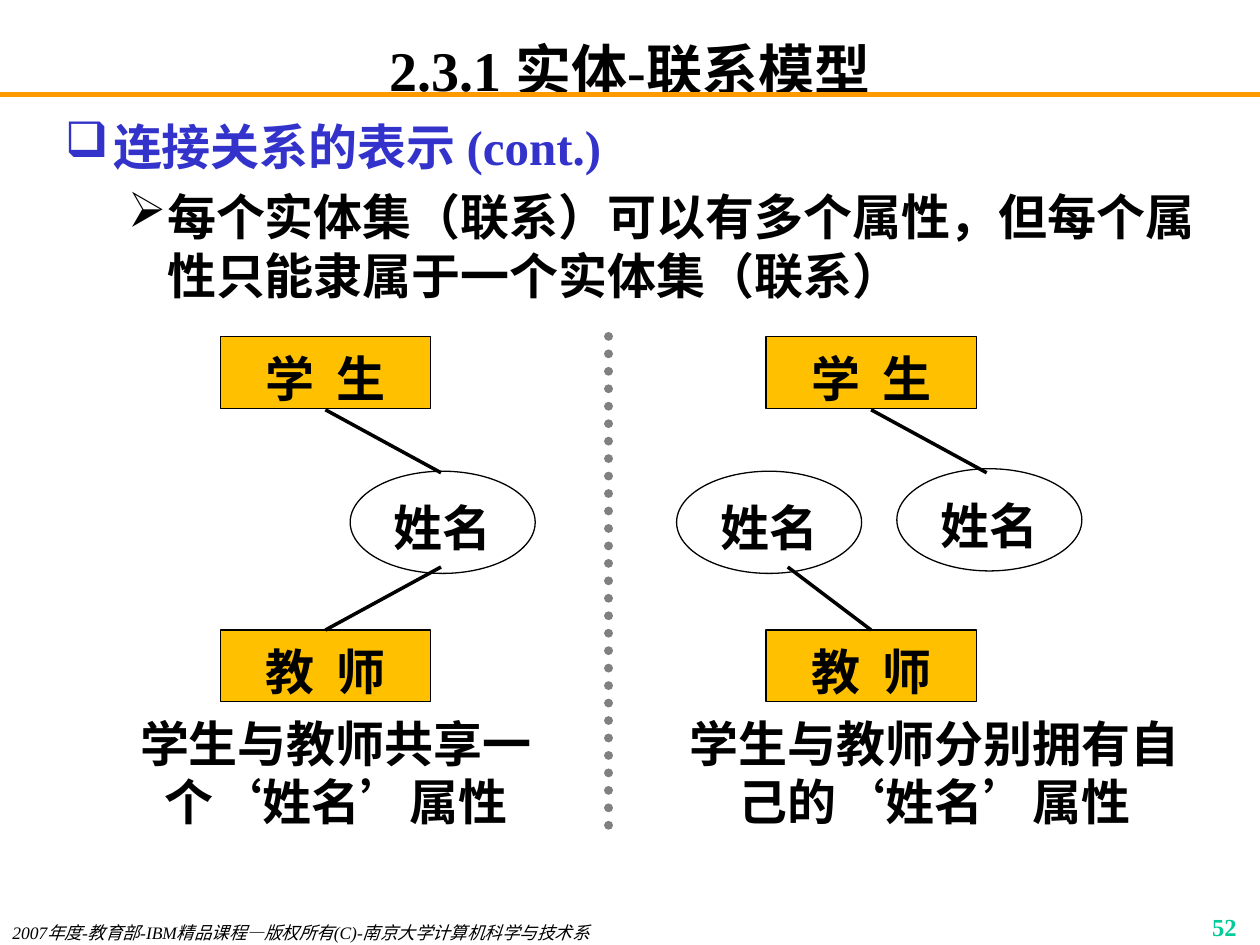
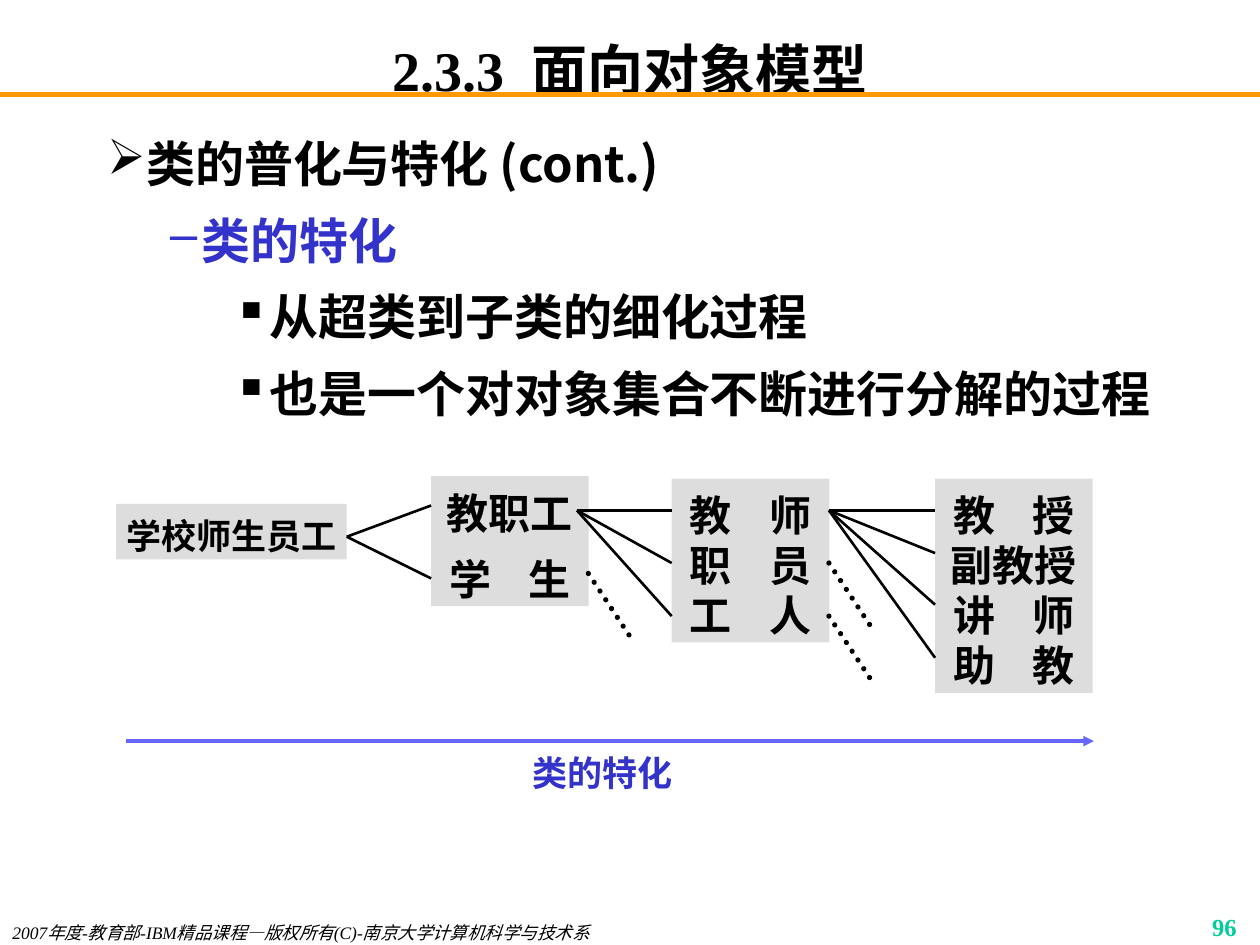
from lxml.etree import SubElement
from pptx import Presentation
from pptx.dml.color import RGBColor
from pptx.enum.dml import MSO_LINE_DASH_STYLE as DASH
from pptx.enum.shapes import MSO_CONNECTOR_TYPE as CONNECTOR, MSO_SHAPE as SHAPE
from pptx.enum.text import MSO_ANCHOR as ANCHOR, PP_ALIGN as ALIGN
from pptx.oxml.ns import qn
from pptx.util import Cm, Pt

# Shared look
BLACK, WHITE, BLUE = "000000", "FFFFFF", "3333CC"
ORANGE, GREEN, AMBER = "FF9900", "00CC99", "FFC000"
LIGHT_GREY, MID_GREY, ARROW_BLUE = "DDDDDD", "808080", "6666FF"
SERIF, SANS = "Times New Roman", "Noto Sans CJK SC"
LINE_HEIGHT = 1.19  # line pitch in ems
DROP = 0.12         # extra space above the first line, in ems
COPYRIGHT = "2007年度-教育部-IBM精品课程—版权所有(C)-南京大学计算机科学与技术系"

# Outline levels: character, left margin and hanging indent in cm
BULLETS = {0: ("❑", 0.97, 0.97), 1: ("➢", 2.06, 0.79),
           2: ("–", 3.18, 0.64), 3: ("▪", 4.45, 0.64)}


def rgb(color):
    return RGBColor.from_string(color)


def cm(*lengths):
    return [Cm(length) for length in lengths]


# Text
def add_run(paragraph, text, color, size, latin=SERIF, spread=0, **font_format):
    run = paragraph.add_run()
    run.text = text
    settings = {"size": Pt(size), "name": latin, "bold": True, **font_format}
    for name, value in settings.items():
        setattr(run.font, name, value)
    run.font.color.rgb = rgb(color)
    properties = run.font._element
    SubElement(properties, qn("a:ea"), typeface=SANS)
    if spread:
        properties.set("spc", str(round(spread * 100)))


def write_line(paragraph, text, color=BLACK, size=28, align=ALIGN.LEFT,
               pitch=LINE_HEIGHT, gap=0, **font_format):
    """Write one paragraph; gap widens its first space by that many points."""
    paragraph.alignment = align
    paragraph.line_spacing = Pt(round(size * pitch, 1))
    pieces = text.partition(" ") if gap else (text,)
    for piece in filter(None, pieces):
        add_run(paragraph, piece, color, size,
                spread=gap if piece == " " else 0, **font_format)


def prepare_frame(frame, size, side=0.25, top=0.13):
    settings = {"word_wrap": True, "vertical_anchor": ANCHOR.TOP,
                "margin_left": Cm(side), "margin_right": Cm(side),
                "margin_top": Cm(top) + Pt(size * DROP), "margin_bottom": 0}
    for name, value in settings.items():
        setattr(frame, name, value)


def write_lines(frame, lines, size=28, before=0, side=0.25, **line_format):
    prepare_frame(frame, size, side)
    for number, text in enumerate(lines):
        paragraph = frame.add_paragraph() if number else frame.paragraphs[0]
        if number:
            paragraph.space_before = Pt(before)
        write_line(paragraph, text, size=size, **line_format)


def add_text(slide, box, text, **text_format):
    frame = slide.shapes.add_textbox(*cm(*box)).text_frame
    write_lines(frame, [text], **text_format)


def add_outline(slide, box, items, **line_format):
    """Write bulleted items given as (level, text, color)."""
    frame = slide.shapes.add_textbox(*cm(*box)).text_frame
    prepare_frame(frame, 28)
    for number, (level, text, color) in enumerate(items):
        paragraph = frame.add_paragraph() if number else frame.paragraphs[0]
        paragraph.level = level
        character, margin, hanging = BULLETS[level]
        properties = paragraph._p.get_or_add_pPr()
        properties.set("marL", str(Cm(margin)))
        properties.set("indent", str(-Cm(hanging)))
        bullet_color = SubElement(properties, qn("a:buClr"))
        SubElement(bullet_color, qn("a:srgbClr"), val=color)
        SubElement(properties, qn("a:buChar"), char=character)
        if number:
            paragraph.space_before = Pt(7)
        write_line(paragraph, text, color, **line_format)


# Shapes and lines
def add_node(slide, kind, box, lines, fill, outline=None, **text_format):
    node = slide.shapes.add_shape(kind, *cm(*box))
    node.shadow.inherit = False
    node.fill.solid()
    node.fill.fore_color.rgb = rgb(fill)
    if outline:
        node.line.color.rgb = rgb(outline)
        node.line.width = Pt(0.75)
    else:
        node.line.fill.background()
    write_lines(node.text_frame, lines, side=0, align=ALIGN.CENTER, **text_format)


def add_line(slide, start, end, color=BLACK, width=1.5, dotted=False, arrow=False):
    link = slide.shapes.add_connector(CONNECTOR.STRAIGHT, *cm(*start, *end))
    link.line.color.rgb = rgb(color)
    link.line.width = Pt(width)
    stroke = link.line._get_or_add_ln()
    if dotted:
        link.line.dash_style = DASH.ROUND_DOT
        stroke.set("cap", "rnd")
    if arrow:
        SubElement(stroke, qn("a:tailEnd"), type="triangle")
    SubElement(link._element.spPr, qn("a:effectLst"))


def add_fan(slide, start, right, heights):
    for height in heights:
        add_line(slide, start, (right, height))


# Frame common to all slides
def add_framed_slide(deck, title, page, gap=0):
    slide = deck.slides.add_slide(deck.slide_layouts[5])
    add_line(slide, (0, 1.9), (25.4, 1.9), ORANGE, 3)
    heading = slide.shapes.title
    heading.left, heading.top, heading.width, heading.height = cm(1.9, 0.6, 21.6, 1.3)
    prepare_frame(heading.text_frame, 32, top=0)
    write_line(heading.text_frame.paragraphs[0], title, size=32,
               align=ALIGN.CENTER, gap=gap)
    add_text(slide, (0, 18.42, 13.97, 0.63), COPYRIGHT,
             size=10, bold=False, italic=True)
    add_text(slide, (19.9, 18.2, 5.28, 0.63), page,
             size=14, color=GREEN, align=ALIGN.RIGHT)
    return slide


def add_entity(slide, left, top, name):
    add_node(slide, SHAPE.RECTANGLE, (left, top, 4.24, 1.45), [name],
             AMBER, BLACK, gap=6.3)


def add_attribute(slide, left, top):
    add_node(slide, SHAPE.OVAL, (left, top, 3.73, 2.06), ["姓名"], WHITE, BLACK)


def build_entity_slide(deck):
    slide = add_framed_slide(deck, "2.3.1 实体-联系模型", "52")
    add_outline(slide, (1.06, 2.11, 23.5, 4.24), [
        (0, "连接关系的表示 (cont.)", BLUE),
        (1, "每个实体集（联系）可以有多个属性，但每个属性只能隶属于一个实体集（联系）", BLACK)])

    # Left: one shared attribute; right: one attribute each
    sides = [
        (4.44, [(7.06, 9.5)], 8.89, (2.54, 8.46), "学生与教师共享一个‘姓名’属性"),
        (15.44, [(18.08, 9.45), (13.64, 9.5)], 15.88, (13.54, 10.59),
         "学生与教师分别拥有自己的‘姓名’属性")]
    for left, attributes, teacher_end, (caption_left, caption_width), caption in sides:
        middle = left + 2.12
        add_entity(slide, left, 6.78, "学 生")
        add_entity(slide, left, 12.7, "教 师")
        for attribute in attributes:
            add_attribute(slide, *attribute)
        add_line(slide, (middle, 8.26), (middle + 2.33, 9.53), width=2)
        add_line(slide, (middle, 12.7), (teacher_end, 11.43), width=2)
        add_text(slide, (caption_left, 14.15, caption_width, 2.64), caption,
                 align=ALIGN.CENTER)
    add_line(slide, (12.27, 6.78), (12.27, 16.94), MID_GREY, 5, dotted=True)


def build_class_slide(deck):
    slide = add_framed_slide(deck, "2.3.3 面向对象模型", "96", gap=7.2)
    add_outline(slide, (0.64, 2.34, 23.5, 6.55), [
        (1, "类的普化与特化 (cont.)", BLACK),
        (2, "类的特化", BLUE),
        (3, "从超类到子类的细化过程", BLACK),
        (3, "也是一个对对象集合不断进行分解的过程", BLACK)],
        latin=SANS, pitch=LINE_HEIGHT * 1.1)

    # Class levels, from the superclass to its subclasses
    add_node(slide, SHAPE.RECTANGLE, (2.34, 10.16, 4.65, 1.12),
             ["学校师生员工"], LIGHT_GREY, size=20)
    levels = [(8.69, 9.6, 2.62, 9, ["教职工", "学 生"]),
              (13.54, 9.65, 3.3, 0, ["教 师", "职 员", "工 人"]),
              (18.85, 9.65, 4.32, 0, ["教 授", "副教授", "讲 师", "助 教"])]
    for left, top, height, before, classes in levels:
        add_node(slide, SHAPE.RECTANGLE, (left, top, 3.18, height), classes,
                 LIGHT_GREY, size=24, before=before, gap=16)

    # Branches shown, and dotted ones left open
    add_fan(slide, (6.99, 10.82), 8.69, [10.19, 11.66])
    add_fan(slide, (11.63, 10.29), 13.54, [10.29, 11.35, 12.42])
    add_fan(slide, (16.71, 10.29), 18.85, [10.29, 11.15, 12.19, 13.26])
    for x, y in [(11.86, 11.56), (16.71, 11.35), (16.71, 12.42)]:
        add_line(slide, (x, y), (x + 0.84, y + 1.27), width=3, dotted=True)

    # Direction of specialisation
    add_text(slide, (10.49, 14.94, 3.33, 1.12), "类的特化", size=20,
             color=BLUE, align=ALIGN.CENTER, side=0)
    add_line(slide, (2.54, 14.94), (22.05, 14.94), ARROW_BLUE, 2, arrow=True)


def main():
    deck = Presentation()
    deck.slide_width, deck.slide_height = cm(25.4, 19.05)
    build_entity_slide(deck)
    build_class_slide(deck)
    deck.save("out.pptx")


if __name__ == "__main__":
    main()
